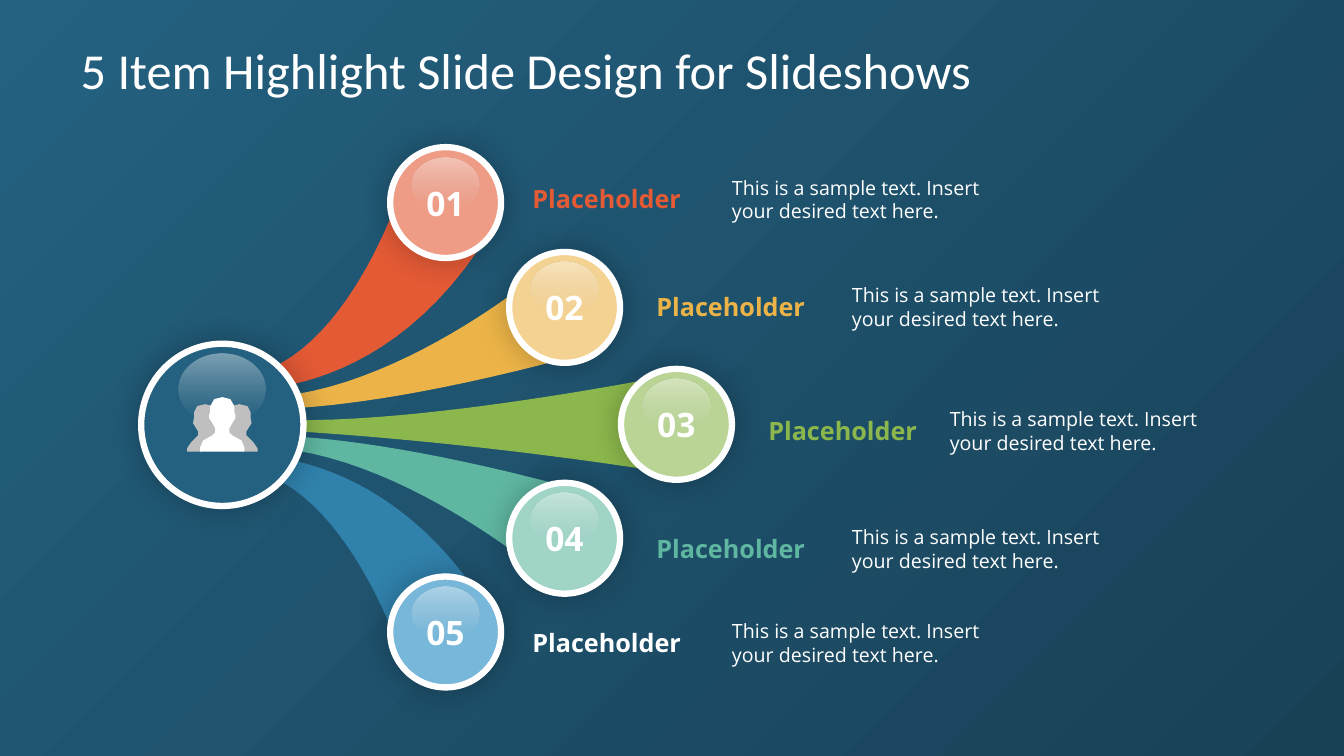
from lxml import etree
from pptx import Presentation, util as u
from pptx.dml.color import RGBColor
from pptx.enum import shapes, text
from pptx.oxml.ns import qn

WHITE = "FFFFFF"
SAMPLE = "This is a sample text. Insert your desired text here."
FAN_ORIGIN = (2.2, 4.19)
# Ribbon: outer tip, control, inner end, inner end, control, outer tip
STEEP = [(1.77, -2.28), (1.23, -0.63), (0.24, -0.46),
         (0.24, -0.33), (1.66, -0.23), (2.67, -1.91)]
SLOPED = [(3.06, -1.41), (1.55, -0.18), (0.24, -0.25),
          (0.21, -0.14), (1.12, -0.02), (3.47, -0.65)]
LEVEL = [(4.3, -0.44), (1.67, 0.08), (0.37, -0.04),
         (0.37, 0.07), (2.02, 0.13), (4.3, 0.48)]
RIBBONS = [(SLOPED, 1, "ECB448"), (SLOPED, -1, "5FB7A2"), (LEVEL, 1, "8BB74C"),
           (STEEP, 1, "E35A35"), (STEEP, -1, "3081AC")]
# Circle left, top, fill; label left, top, colour; description left
ITEMS = [
    (3.87, 1.46, "EE9C86", 5.28, 1.77, "E35A35", 7.26),
    (5.05, 2.5, "F4D291", 6.51, 2.84, "ECB448", 8.45),
    (6.16, 3.66, "B9D494", 7.62, 4.07, "8BB74C", 9.42),
    (5.05, 4.79, "9FD4C7", 6.51, 5.24, "5FB7A2", 8.45),
    (3.87, 5.72, "77B7D9", 5.28, 6.17, WHITE, 7.26),
]
# Icon outlines, measured from the middle of the icon's base
SIDE_PERSON = [
    (-0.17, -0.11), (-0.1, -0.14), (-0.07, -0.16), (-0.05, -0.19), (-0.05, -0.23),
    (-0.08, -0.27), (-0.1, -0.33), (-0.1, -0.37), (-0.1, -0.45), (-0.13, -0.46),
    (-0.17, -0.47), (-0.25, -0.45), (-0.28, -0.39), (-0.28, -0.34), (-0.29, -0.28),
    (-0.24, -0.2), (-0.24, -0.16), (-0.31, -0.09), (-0.35, -0.03), (-0.35, 0),
    (-0.21, 0), (-0.21, -0.04)]
FRONT_HALF = [
    (0, -0.54), (-0.08, -0.52), (-0.12, -0.45), (-0.12, -0.39), (-0.13, -0.37),
    (-0.13, -0.33), (-0.11, -0.3), (-0.07, -0.23), (-0.07, -0.19), (-0.1, -0.16),
    (-0.19, -0.11), (-0.22, -0.04), (-0.22, 0)]


def rgb(color):
    return RGBColor.from_string(color)


def mirror(points):
    return [(-x, y) for x, y in points]


def curve(start, control, end, steps=24):
    """Points of a cubic whose first control point is its start."""
    weights = [((1 - t) ** 3 + 3 * t * (1 - t) ** 2, 3 * t * t * (1 - t), t ** 3)
               for t in (i / steps for i in range(steps + 1))]
    return [tuple(a * s + b * c + d * e for s, c, e in zip(start, control, end))
            for a, b, d in weights]


def add_outline(slide, points, origin, color):
    ox, oy = origin
    spots = [(u.Inches(ox + x), u.Inches(oy + y)) for x, y in points]
    builder = slide.shapes.build_freeform(*spots[0])
    builder.add_line_segments(spots[1:], close=True)
    sp = builder.convert_to_shape()
    sp.shadow.inherit = False
    sp.fill.solid()
    sp.fill.fore_color.rgb = rgb(color)
    sp.line.fill.background()


def add_ellipse(slide, *box):
    sp = slide.shapes.add_shape(shapes.MSO_SHAPE.OVAL, *map(u.Inches, box))
    sp.shadow.inherit = False
    return sp


def set_gradient(fill, angle, stops):
    fill.gradient()
    fill.gradient_angle = angle
    for stop, (position, color) in zip(fill.gradient_stops, stops):
        stop.position = position
        stop.color.rgb = rgb(color)


def set_alpha(color_element, percent):
    etree.SubElement(color_element, qn("a:alpha"), val=str(percent * 1000))


def add_soft_shadow(sp):
    effects = sp._element.spPr.find(qn("a:effectLst"))
    shadow = etree.SubElement(effects, qn("a:outerShdw"), blurRad=str(u.Pt(22)),
                              dist="0", dir="5400000", algn="t", rotWithShape="0")
    set_alpha(etree.SubElement(shadow, qn("a:srgbClr"), val="000000"), 25)


def add_glossy_disc(slide, x, y, size, color, gloss_width, gloss_height):
    disc = add_ellipse(slide, x, y, size, size)
    disc.fill.solid()
    disc.fill.fore_color.rgb = rgb(color)
    disc.line.color.rgb = rgb(WHITE)
    disc.line.width = u.Pt(4.5)
    add_soft_shadow(disc)
    gloss = add_ellipse(slide, x + (size - gloss_width) / 2, y + 0.1,
                        gloss_width, gloss_height)
    set_gradient(gloss.fill, 270, [(0, WHITE), (0.9, "D9D9D9")])
    for element, percent in zip(gloss._element.spPr.iter(qn("a:srgbClr")), (40, 0)):
        set_alpha(element, percent)
    gloss.line.fill.background()


def add_text(slide, box, content, size, color=WHITE, bold=False,
             font="Open Sans", inset=0, wrap=True):
    tf = slide.shapes.add_textbox(*map(u.Inches, box)).text_frame
    tf.word_wrap = wrap
    tf.vertical_anchor = text.MSO_ANCHOR.MIDDLE
    tf.margin_left = tf.margin_right = u.Inches(inset)
    p = tf.paragraphs[0]
    p.text = content
    p.font.name = font
    p.font.size = u.Pt(size)
    p.font.bold = bold
    p.font.color.rgb = rgb(color)


def add_fan(slide, origin):
    for points, side, color in RIBBONS:
        tip, control, inner, inner_end, control_end, tip_end = [
            (x, side * y) for x, y in points]
        outline = curve(tip, control, inner) + curve(inner_end, control_end, tip_end)
        add_outline(slide, outline, origin, color)


def add_item(slide, number, x, y, fill, label_x, label_y, label_color, description_x):
    add_glossy_disc(slide, x, y, 1.1, fill, 0.67, 0.54)
    add_text(slide, (x + 0.26, y + 0.3, 0.59, 0.5), f"{number:02}", 24,
             bold=True, inset=0.1, wrap=False)
    add_text(slide, (label_x, label_y, 1.66, 0.4), "Placeholder", 18,
             label_color, bold=True)
    add_text(slide, (description_x, label_y - 0.08, 2.51, 0.57), SAMPLE, 14)


def add_hub(slide, x, y, size):
    add_glossy_disc(slide, x, y, size, "246181", 0.86, 0.7)
    base = (x + size / 2, y + 1.07)
    for person in (SIDE_PERSON, mirror(SIDE_PERSON)):
        add_outline(slide, person, base, "BFBFBF")
    add_outline(slide, FRONT_HALF + mirror(FRONT_HALF[:0:-1]), base, WHITE)


def main():
    prs = Presentation()
    prs.slide_width, prs.slide_height = u.Inches(13.33), u.Inches(7.5)
    slide = prs.slides.add_slide(prs.slide_layouts[6])
    set_gradient(slide.background.fill, 315, [(0, "246181"), (1, "184156")])
    add_text(slide, (0.67, 0.3, 12, 0.78), "5 Item Highlight Slide Design for Slideshows",
             36, font="Calibri", inset=0.13)
    add_fan(slide, FAN_ORIGIN)
    for number, item in enumerate(ITEMS, 1):
        add_item(slide, number, *item)
    add_hub(slide, 1.4, 3.41, 1.61)
    prs.save("out.pptx")


if __name__ == "__main__":
    main()
